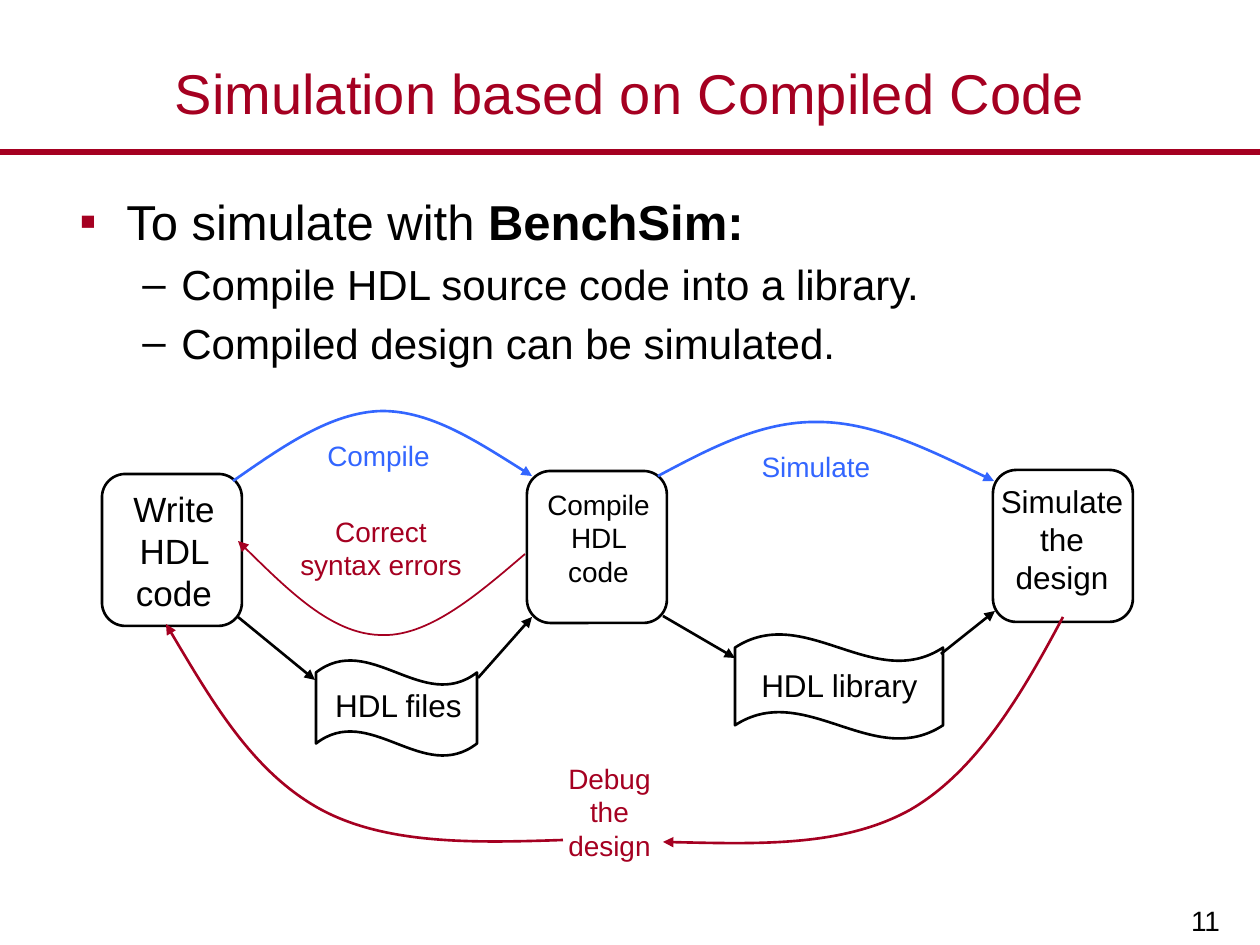
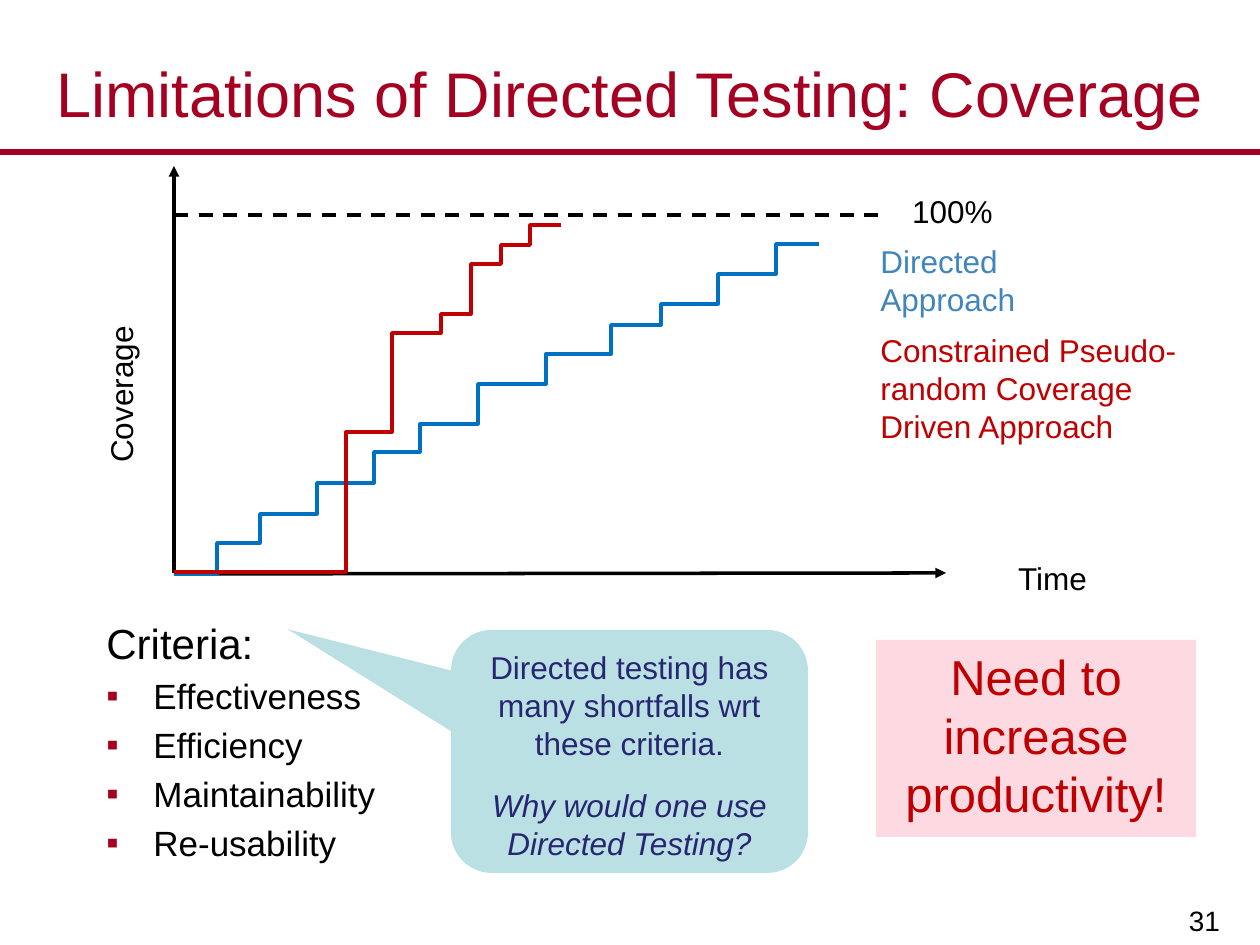
"""Build two slides on HDL simulation: the compile flow and the limits of directed testing."""
import dataclasses

import lxml.etree
import pptx
import pptx.dml.color
import pptx.enum.dml
import pptx.enum.shapes
import pptx.enum.text
import pptx.oxml.ns
import pptx.util

PX = 7257
SHAPE = pptx.enum.shapes.MSO_SHAPE
CONNECTOR = pptx.enum.shapes.MSO_CONNECTOR
ANCHOR = pptx.enum.text.MSO_ANCHOR
ALIGN = pptx.enum.text.PP_ALIGN
RGB = pptx.dml.color.RGBColor.from_string
qn = pptx.oxml.ns.qn
add_tag = lxml.etree.SubElement


@dataclasses.dataclass(frozen=True)
class Theme:
    font: str = "Arial"
    ink: str = "000000"
    crimson: str = "A50021"
    flow: str = "3366FF"
    directed: str = "0070C0"
    directed_label: str = "4185BD"
    random: str = "C00000"
    callout: str = "BBE0E3"
    callout_ink: str = "262673"
    alert: str = "FDC7D3"
    title: int = 32
    wide_title: int = 36
    lead: int = 28
    body: int = 24
    item: int = 20
    label: int = 18
    small: int = 16


theme = Theme()


def write(text, frame=None, slide=None, box=None, size=theme.label, color=theme.ink,
          align=ALIGN.CENTER, anchor=ANCHOR.TOP, bold_tail="", italic=False,
          bullet=None, bullet_color=None, margin=0, hang=0, before=0, rotation=0, inset=None):
    """Add a paragraph to a frame, or to a new text box, and return the frame."""
    if frame is None:
        holder = slide.shapes.add_textbox(*(n * PX for n in box))
        holder.rotation = rotation
        frame = holder.text_frame
    frame.word_wrap = True
    frame.vertical_anchor = anchor
    if inset:
        frame.margin_left = frame.margin_right = inset[0] * PX
        frame.margin_top = frame.margin_bottom = inset[1] * PX
    paragraph = frame.paragraphs[0]
    if paragraph.runs:
        paragraph = frame.add_paragraph()
    paragraph.alignment = align
    paragraph.space_before = pptx.util.Pt(before)
    for part, bold in ((text, False), (bold_tail, True)):
        if part:
            run = paragraph.add_run()
            run.text = part
            run.font.name, run.font.size = theme.font, pptx.util.Pt(size)
            run.font.bold, run.font.italic = bold, italic
            run.font.color.rgb = RGB(color)
    properties = paragraph._p.get_or_add_pPr()
    if hang:
        properties.set("marL", str(margin * PX))
        properties.set("indent", str(-hang * PX))
    if bullet:
        tint = add_tag(properties, qn("a:buClr"))
        add_tag(tint, qn("a:srgbClr"), val=bullet_color or color)
        add_tag(properties, qn("a:buFont"), typeface=theme.font)
        add_tag(properties, qn("a:buChar"), char=bullet)
    return frame


def connect(slide, ends, color=theme.ink, width=1.5, arrow=False, dash=None, bend=None):
    """Draw a straight line, or an elbow that turns at the given share of its width."""
    kind = CONNECTOR.STRAIGHT if bend is None else CONNECTOR.ELBOW
    link = slide.shapes.add_connector(kind, *(n * PX for n in ends))
    link.line.color.rgb = RGB(color)
    link.line.width = pptx.util.Pt(width)
    if dash:
        link.line.dash_style = dash
    if arrow:
        add_tag(link.get_or_add_ln(), qn("a:tailEnd"), type="triangle")
    properties = link.element.spPr
    add_tag(properties, qn("a:effectLst"))
    if bend is not None:
        geometry = properties.find(qn("a:prstGeom"))
        guides = geometry.find(qn("a:avLst"))
        if guides is None:
            guides = add_tag(geometry, qn("a:avLst"))
        add_tag(guides, qn("a:gd"), name="adj1", fmla=f"val {round(bend * 100000)}")


deck = pptx.Presentation()
deck.slide_width, deck.slide_height = 1260 * PX, 945 * PX
slides = []
for title, size, number in (
    ("Simulation based on Compiled Code", theme.title, "11"),
    ("Limitations of Directed Testing: Coverage", theme.wide_title, "31"),
):
    slide = deck.slides.add_slide(deck.slide_layouts[6])
    connect(slide, (0, 152, 1260, 152), color=theme.crimson, width=3)
    write(number, slide=slide, box=(983, 873, 251, 72), size=theme.small,
          align=ALIGN.RIGHT, anchor=ANCHOR.BOTTOM, inset=(14, 8))
    write(title, slide=slide, box=(0, 38, 1260, 108), size=size,
          color=theme.crimson, anchor=ANCHOR.MIDDLE)
    slides.append(slide)
flow, coverage = slides

points = write("To simulate with ", slide=flow, box=(67, 185, 940, 207), size=theme.lead,
               align=ALIGN.LEFT, bold_tail="BenchSim:", bullet="▪",
               bullet_color=theme.crimson, margin=47, hang=47)
for point in ("Compile HDL source code into a library.", "Compiled design can be simulated."):
    write(point, frame=points, size=theme.body, align=ALIGN.LEFT, bullet="–",
          margin=102, hang=39, before=0.2 * theme.body)

for kind, box, adjustment in (
    (SHAPE.ROUNDED_RECTANGLE, (102, 474, 140, 152), 0.167),
    (SHAPE.ROUNDED_RECTANGLE, (527, 471, 140, 152), 0.167),
    (SHAPE.ROUNDED_RECTANGLE, (993, 470, 140, 152), 0.167),
    (SHAPE.WAVE, (316, 660, 161, 96), 0.13),
    (SHAPE.WAVE, (735, 634, 208, 105), 0.13),
):
    stage = flow.shapes.add_shape(kind, *(n * PX for n in box))
    stage.adjustments[0] = adjustment
    stage.fill.background()
    stage.line.color.rgb = RGB(theme.ink)
    stage.line.width = pptx.util.Pt(1.5)
    stage.shadow.inherit = False

for text, box, size, color in (
    ("Write HDL code", (107, 481, 134, 140), theme.item, theme.ink),
    ("Compile HDL code", (525, 481, 147, 115), theme.small, theme.ink),
    ("Simulate the design", (984, 476, 156, 127), theme.label, theme.ink),
    ("HDL files", (316, 680, 165, 50), theme.label, theme.ink),
    ("HDL library", (732, 660, 215, 50), theme.label, theme.ink),
    ("Compile", (308, 432, 141, 47), theme.small, theme.flow),
    ("Simulate", (733, 443, 166, 47), theme.small, theme.flow),
    ("Correct syntax errors", (284, 508, 194, 81), theme.small, theme.crimson),
    ("Debug the design", (539, 755, 141, 113), theme.small, theme.crimson),
):
    write(text, slide=flow, box=box, size=size, color=color)

for ends in ((238, 617, 315, 680), (663, 616, 735, 658),
             (478, 678, 532, 617), (941, 654, 995, 611)):
    connect(flow, ends, arrow=True)

for color, width, start, *controls in (
    (theme.flow, 1.5, (233, 481), (282, 447), (331, 412), (382, 411),
     (431, 411), (481, 444), (532, 476)),
    (theme.flow, 1.5, (658, 476), (709, 449), (761, 421), (818, 422),
     (873, 422), (934, 452), (994, 481)),
    (theme.crimson, 1, (525, 554), (476, 596), (427, 638), (379, 635),
     (331, 633), (285, 587), (238, 541)),
    (theme.crimson, 1.5, (1063, 617), (1021, 696), (976, 772), (910, 810),
     (843, 847), (753, 844), (663, 842)),
    (theme.crimson, 1.5, (563, 840), (475, 843), (386, 845), (320, 809),
     (253, 772), (210, 698), (166, 624)),
):
    builder = flow.shapes.build_freeform(*start, scale=PX)
    builder.add_line_segments(controls, close=False)
    arc = builder.convert_to_shape()
    arc.fill.background()
    arc.line.color.rgb = RGB(color)
    arc.line.width = pptx.util.Pt(width)
    arc.shadow.inherit = False
    add_tag(arc.get_or_add_ln(), qn("a:tailEnd"), type="triangle")
    outline = next(arc.element.iter(qn("a:path")))
    segments = outline.findall(qn("a:lnTo"))
    for first in range(0, len(segments), 3):
        bezier = add_tag(outline, qn("a:cubicBezTo"))
        for segment in segments[first:first + 3]:
            bezier.append(segment[0])
            outline.remove(segment)

connect(coverage, (174, 573, 174, 166), width=2, arrow=True)
connect(coverage, (174, 574, 946, 573), width=2, arrow=True)
connect(coverage, (174, 215, 878, 215), width=2, dash=pptx.enum.dml.MSO_LINE.DASH)

for color, base, end, risers in (
    (theme.directed, 574, 819,
     ((217, 543), (260, 514), (317, 483), (374, 452), (420, 424), (478, 384),
      (546, 354), (611, 325), (661, 304), (718, 274), (776, 244))),
    (theme.random, 572, 561,
     ((346, 432), (392, 333), (441, 314), (471, 264), (501, 245), (530, 225))),
):
    left, level = 174, base
    for index, (riser, top) in enumerate(risers):
        last = index == len(risers) - 1
        right = end if last else (riser + risers[index + 1][0]) // 2
        connect(coverage, (left, level, right, top), color=color, width=2,
                bend=(riser - left) / (right - left))
        left, level = right, top

write("Coverage", slide=coverage, box=(8, 363, 238, 63), rotation=270)
write("Time", slide=coverage, box=(968, 553, 169, 63))
write("100%", slide=coverage, box=(888, 186, 129, 50))
write("Directed Approach", slide=coverage, box=(868, 236, 208, 89),
      color=theme.directed_label, align=ALIGN.LEFT)
write("Constrained Pseudo-random Coverage Driven Approach", slide=coverage,
      box=(868, 325, 348, 127), color=theme.random, align=ALIGN.LEFT)

criteria = write("Criteria:", slide=coverage, box=(94, 611, 417, 268), size=theme.body,
                 align=ALIGN.LEFT, margin=47, hang=47)
for criterion in ("Effectiveness", "Efficiency", "Maintainability", "Re-usability"):
    write(criterion, frame=criteria, size=theme.item, align=ALIGN.LEFT, bullet="▪",
          bullet_color=theme.crimson, margin=47, hang=47, before=0.2 * theme.item)

alert = coverage.shapes.add_shape(SHAPE.RECTANGLE, 876 * PX, 640 * PX, 320 * PX, 197 * PX)
callout = coverage.shapes.add_shape(SHAPE.ROUNDED_RECTANGULAR_CALLOUT,
                                    451 * PX, 630 * PX, 357 * PX, 243 * PX)
for index, adjustment in enumerate((-0.957, -0.503, 0.167)):
    callout.adjustments[index] = adjustment
for panel, color in ((alert, theme.alert), (callout, theme.callout)):
    panel.fill.solid()
    panel.fill.fore_color.rgb = RGB(color)
    panel.line.fill.background()
    panel.shadow.inherit = False
add_tag(next(alert.element.spPr.iter(qn("a:srgbClr"))), qn("a:alpha"), val="65000")

write("Need to increase productivity!", frame=alert.text_frame, size=theme.lead,
      color=theme.random)
write("Directed testing has many shortfalls wrt these criteria.", frame=callout.text_frame,
      color=theme.callout_ink)
write("Why would one use Directed Testing?", frame=callout.text_frame,
      color=theme.callout_ink, italic=True, before=14)

deck.save("out.pptx")
